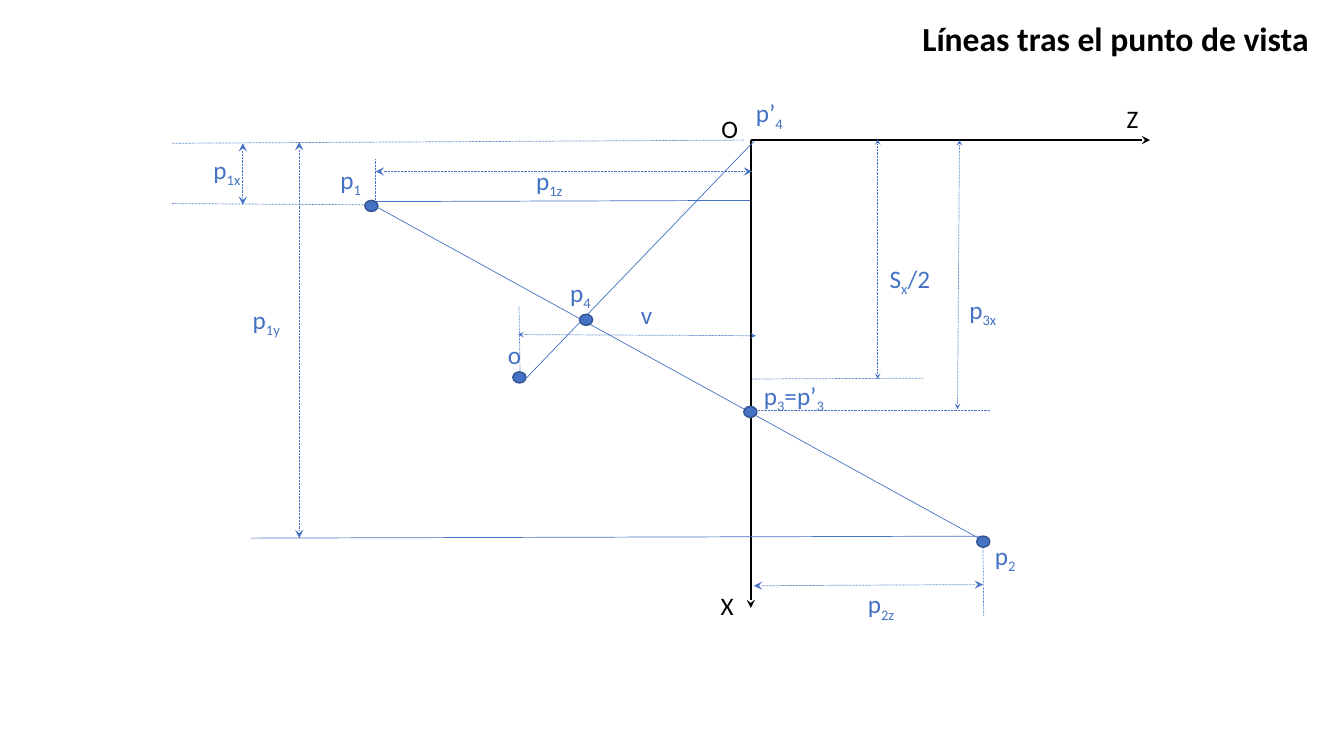
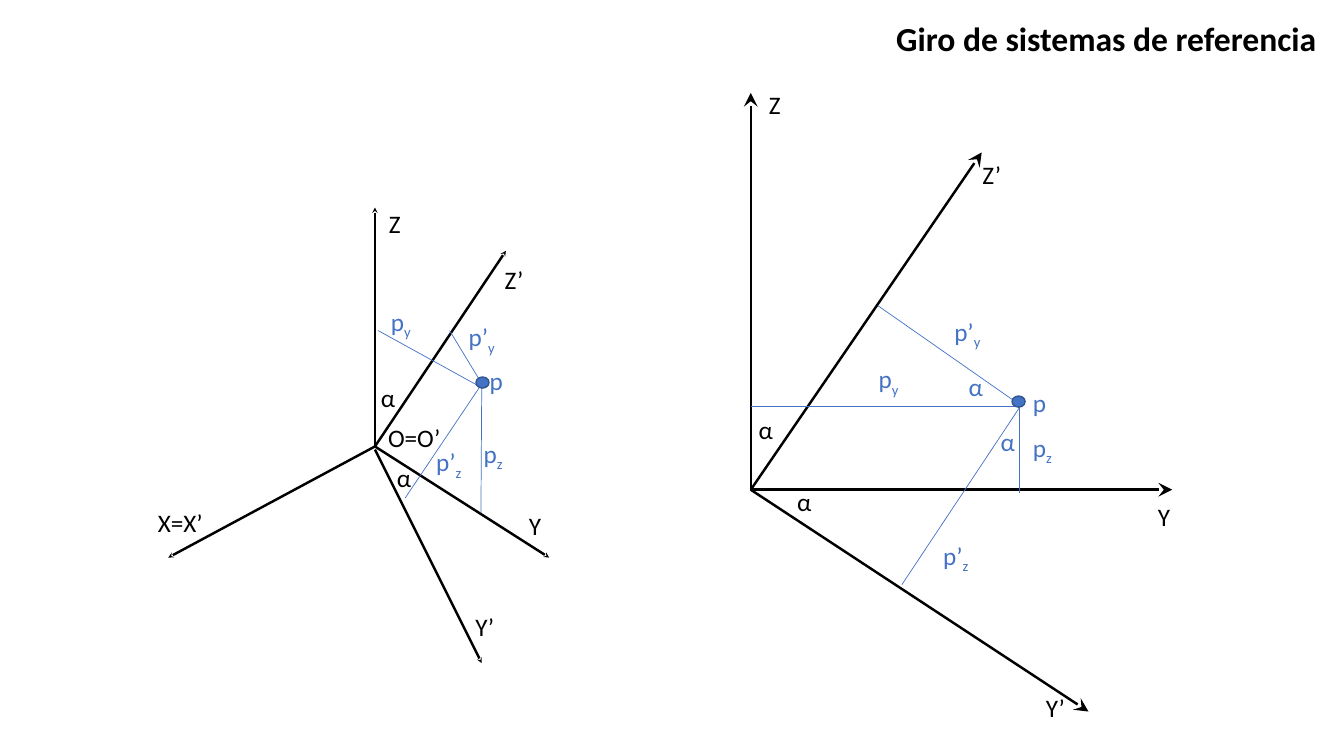
from dataclasses import dataclass

from pptx import Presentation
from pptx.dml.color import RGBColor
from pptx.enum.dml import MSO_LINE
from pptx.enum.shapes import MSO_CONNECTOR as CONN, MSO_SHAPE as SHAPE
from pptx.enum.text import MSO_ANCHOR as ANCHOR, MSO_AUTO_SIZE as FIT, PP_ALIGN as ALIGN
from pptx.oxml.ns import qn
from pptx.util import Cm, Pt

BLACK, BLUE, DARK_BLUE = "000000", "4472C4", "325491"
TITLE_FONT = {"name": "Calibri", "size": Pt(24), "bold": True}
LABEL_FONT = {"name": "Calibri", "size": Pt(18)}
DOT_W, DOT_H = 0.33, 0.28
LABEL_H, TITLE_TOP, TITLE_H = 1.02, 0.33, 1.27


# Elements; all lengths in centimetres
@dataclass
class Line:
    x1: float
    y1: float
    x2: float
    y2: float
    color: str = BLUE
    width: float = 0.5
    dotted: bool = False
    ends: tuple = ()
    size: str = "med"


@dataclass
class Label:
    text: str  # "|" switches between normal and subscript
    x: float
    y: float
    w: float = 1
    color: str = BLUE


@dataclass
class Dot:
    x: float
    y: float


def rgb(value: str) -> RGBColor:
    return RGBColor.from_string(value)


def axis(x1: float, y1: float, x2: float, y2: float, width: float, size: str) -> Line:
    return Line(x1, y1, x2, y2, BLACK, width, ends=("tailEnd",), size=size)


def guide(x1: float, y1: float, x2: float, y2: float) -> Line:
    return Line(x1, y1, x2, y2, dotted=True)


def measure(x1: float, y1: float, x2: float, y2: float, size: str = "med") -> Line:
    return Line(x1, y1, x2, y2, dotted=True, ends=("headEnd", "tailEnd"), size=size)


# Drawing functions
def set_font(font, values: dict, color: str) -> None:
    for name, value in values.items():
        setattr(font, name, value)
    font.color.rgb = rgb(color)


def draw_line(s, line: Line) -> None:
    sp = s.shapes.add_connector(CONN.STRAIGHT, Cm(line.x1), Cm(line.y1), Cm(line.x2), Cm(line.y2))
    sp.line.color.rgb = rgb(line.color)
    sp.line.width = Pt(line.width)
    if line.dotted:
        sp.line.dash_style = MSO_LINE.ROUND_DOT
    ln = sp.line._get_or_add_ln()
    for end in line.ends:
        arrow = ln.makeelement(qn(f"a:{end}"), {"type": "stealth", "w": line.size, "len": line.size})
        ln.append(arrow)
    props = sp._element.spPr
    props.append(props.makeelement(qn("a:effectLst"), {}))


def draw_dot(s, dot: Dot) -> None:
    sp = s.shapes.add_shape(SHAPE.OVAL, Cm(dot.x - DOT_W / 2), Cm(dot.y - DOT_H / 2), Cm(DOT_W), Cm(DOT_H))
    sp.shadow.inherit = False
    sp.fill.solid()
    sp.fill.fore_color.rgb = rgb(BLUE)
    sp.line.color.rgb = rgb(DARK_BLUE)
    sp.line.width = Pt(1)


def draw_label(s, label: Label) -> None:
    sp = s.shapes.add_textbox(Cm(label.x), Cm(label.y), Cm(label.w), Cm(LABEL_H))
    tf = sp.text_frame
    tf.word_wrap = True
    for i, part in enumerate(label.text.split("|")):
        if not part:
            continue
        r = tf.paragraphs[0].add_run()
        r.text = part
        set_font(r.font, LABEL_FONT, label.color)
        if i % 2:
            r.font._element.set("baseline", "-25000")


def add_slide(prs, title: str, left: float, width: float, items: list) -> None:
    s = prs.slides.add_slide(prs.slide_layouts[5])
    sp = s.shapes.title
    sp.left, sp.top, sp.width, sp.height = Cm(left), Cm(TITLE_TOP), Cm(width), Cm(TITLE_H)
    tf = sp.text_frame
    tf.word_wrap, tf.auto_size, tf.vertical_anchor = True, FIT.NONE, ANCHOR.TOP
    p = tf.paragraphs[0]
    p.alignment = ALIGN.LEFT
    r = p.add_run()
    r.text = title
    set_font(r.font, TITLE_FONT, BLACK)
    draw = {Line: draw_line, Dot: draw_dot, Label: draw_label}
    for item in items:
        draw[type(item)](s, item)


# Slide 1: projection of a line that passes behind the viewpoint
OX, OY = 18.92, 3.53
VIEWPOINT = [
    axis(OX, OY, OX, 15.32, 1.25, "med"),
    axis(OX, OY, 28.98, OY, 1.25, "med"),
    # Projected lines
    Line(9.25, 5.08, 24.66, 13.56),
    Line(9.47, 5.08, 18.9, 5.05),
    Line(24.77, 13.51, 6.32, 13.56),
    Line(13.26, 9.53, 19, 3.56),
    # Guides
    guide(13.08, 7.72, 13.11, 9.68),
    guide(18.95, 9.55, 23.27, 9.53),
    guide(18.75, OY, 4.34, 3.61),
    guide(9.25, 5.16, 4.34, 5.13),
    guide(9.47, 4.01, 9.47, 5.08),
    guide(24.77, 13.67, 24.79, 15.52),
    guide(OX, 10.34, 24.94, 10.34),
    # Measures
    measure(13.06, 8.43, 19.05, 8.46, "sm"),
    measure(22.12, 3.51, 22.12, 9.55, "sm"),
    measure(24.18, OY, 24.13, 10.31, "sm"),
    measure(6.12, 3.61, 6.12, 5.16),
    measure(7.54, 3.58, 7.54, 13.56),
    measure(9.47, 4.32, 18.95, 4.32),
    measure(19, 14.76, 24.77, 14.73),
    # Points
    Dot(13.09, 9.51),
    Dot(24.78, 13.65),
    Dot(9.36, 5.19),
    Dot(18.91, 10.38),
    Dot(14.77, 8.06),
    # Labels
    Label("O", 17.93, 2.72, color=BLACK),
    Label("Z", 28.14, 2.49, color=BLACK),
    Label("X", 17.91, 14.76, color=BLACK),
    Label("o", 12.55, 8.43),
    Label("v", 15.9, 7.42),
    Label("p|1", 8.33, 4.01, 1.14),
    Label("p|2", 24.82, 13.49, 1.14),
    Label("p|3|=p’|3", 19, 9.45, 2.62),
    Label("p|4", 14.12, 6.86, 1.14),
    Label("p’|4", 18.8, 2.34, 1.55),
    Label("S|x|/2", 22.17, 6.5, 1.55),
    Label("p|1x", 5.13, 3.76, 1.57),
    Label("p|1y", 6.12, 7.54, 1.57),
    Label("p|1z", 13.26, 4.04, 1.57),
    Label("p|2z", 21.62, 14.71, 1.57),
    Label("p|3x", 24.18, 7.29, 1.57),
]

# Slide 2: rotated axes in space (left) and in the YZ plane (right)
SX, SY = 9.45, 11.25
PX, PY = 18.92, 12.34
ROTATION = [
    # Axes in space
    *(axis(SX, SY, x, y, 1.75, "sm")
      for x, y in ((SX, 5.23), (4.24, 14.05), (13.84, 14.05), (12.75, 6.32))),
    axis(SX, 11.33, 12.14, 16.71, 1.75, "sm"),
    # Axes in the plane
    *(axis(PX, PY, x, y, 1.75, "lg")
      for x, y in ((PX, 2.34), (29.54, PY), (24.74, 3.84), (27.43, 17.93))),
    # Projections of the point in space
    Line(12.14, 9.75, 12.12, 12.93),
    Line(9.53, 8.33, 12.07, 9.73),
    Line(12.07, 9.78, 10.21, 12.55),
    Line(12.07, 9.55, 11.33, 8.33),
    # Projections of the point in the plane
    Line(25.68, 10.29, 22.73, 14.73),
    Line(22.12, 7.7, 25.6, 10.13),
    Line(PX, 10.24, 25.78, 10.24),
    Line(25.68, 10.26, 25.68, 12.42),
    Dot(12.16, 9.64),
    Dot(25.67, 10.12),
    # Labels in space
    Label("O=O’", 9.53, 10.52, 1.9, BLACK),
    Label("X=X’", 3.73, 12.65, 1.7, BLACK),
    Label("Y", 13.08, 12.73, color=BLACK),
    Label("Z", 9.55, 5.13, color=BLACK),
    Label("Y’", 11.73, 15.29, color=BLACK),
    Label("Z’", 12.47, 6.53, color=BLACK),
    Label("α", 9.35, 9.5, color=BLACK),
    Label("α", 9.75, 11.53, color=BLACK),
    Label("p", 12.09, 9.09),
    Label("p|y", 9.6, 7.59, 1.2),
    Label("p|z", 11.94, 10.92, 1.2),
    Label("p’|y", 11.56, 7.98, 1.2),
    Label("p’|z", 10.74, 11.13, 1.2),
    # Labels in the plane
    Label("Y", 28.93, 12.5, color=BLACK),
    Label("Z", 19.13, 2.13, color=BLACK),
    Label("Y’", 26.11, 17.32, color=BLACK),
    Label("Z’", 24.51, 3.89, color=BLACK),
    Label("α", 18.87, 10.31, color=BLACK),
    Label("α", 19.84, 12.14, color=BLACK),
    Label("α", 24.16, 9.22),
    Label("α", 24.97, 10.62),
    Label("p", 25.78, 9.63),
    Label("p|y", 21.89, 9.04, 1.2),
    Label("p|z", 25.78, 10.77, 1.2),
    Label("p’|y", 23.8, 7.85, 1.2),
    Label("p’|z", 23.52, 13.49, 1.2),
]


def main() -> None:
    prs = Presentation()
    prs.slide_width, prs.slide_height = Cm(33.87), Cm(19.05)
    add_slide(prs, "Líneas tras el punto de vista", 22.99, 10.4, VIEWPOINT)
    add_slide(prs, "Giro de sistemas de referencia", 22.33, 11.3, ROTATION)
    prs.save("out.pptx")


if __name__ == "__main__":
    main()
